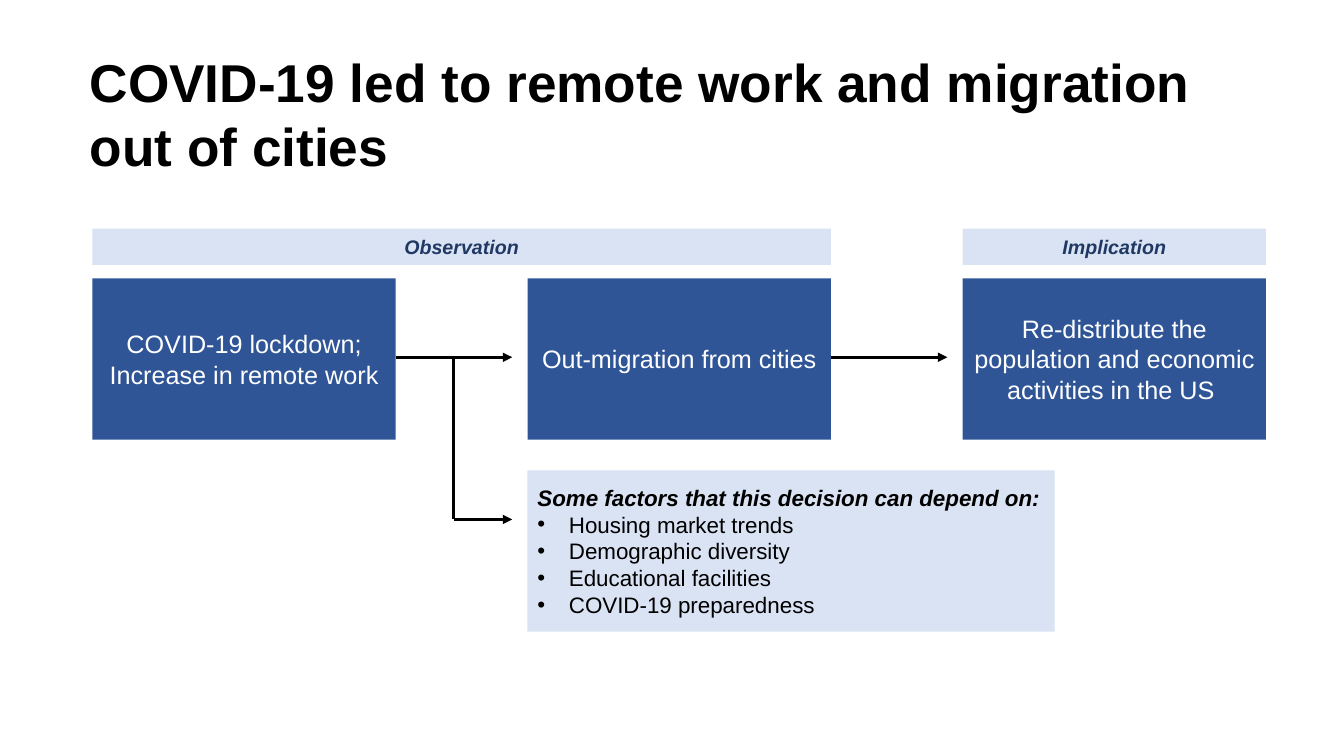
from lxml.etree import SubElement
from pptx import Presentation
from pptx.dml.color import RGBColor
from pptx.enum.shapes import MSO_CONNECTOR, MSO_SHAPE
from pptx.enum.text import MSO_ANCHOR, PP_ALIGN
from pptx.oxml.ns import qn
from pptx.util import Pt

TITLE = "COVID-19 led to remote work and migration out of cities"
STEPS = [
    "COVID-19 lockdown; Increase in remote work",
    "Out-migration from cities",
    "Re-distribute the population and economic activities in the US ",
]
STAGES = [("Observation", 0, 1), ("Implication", 2, 2)]
FACTORS_HEADING = "Some factors that this decision can depend on:"
FACTORS = [
    "Housing market trends",
    "Demographic diversity",
    "Educational facilities",
    "COVID-19 preparedness",
]

FONT = "Arial"
BLACK = RGBColor(0x00, 0x00, 0x00)
WHITE = RGBColor(0xFF, 0xFF, 0xFF)
BLUE = RGBColor(0x2F, 0x55, 0x97)
PALE_BLUE = RGBColor(0xDA, 0xE3, 0xF3)
NAVY = RGBColor(0x20, 0x38, 0x64)

LEFT, PITCH, STEP_WIDTH = 66, 310.8, 216.7
STAGE_TOP, STAGE_HEIGHT = 163.4, 25.8
STEP_TOP, BOX_HEIGHT = 198.8, 115.2
FACTORS_TOP, FACTORS_WIDTH = 336, 376.5
ARROW_LENGTH, ARROW_Y = 83.2, 255.2
BRANCH_X, BRANCH_Y = 324, 371
BULLET_INDENT = 22.5

prs = Presentation()
prs.slide_width, prs.slide_height = Pt(960), Pt(540)
slide = prs.slides.add_slide(prs.slide_layouts[6])


def add_text(paragraph, text, size, color, bold=False, italic=False):
    run = paragraph.add_run()
    run.text = text
    font = run.font
    font.name, font.size = FONT, Pt(size)
    font.bold, font.italic = bold, italic
    font.color.rgb = color


def add_box(left, top, width, height, fill, align=PP_ALIGN.CENTER):
    box = slide.shapes.add_shape(
        MSO_SHAPE.RECTANGLE, Pt(left), Pt(top), Pt(width), Pt(height))
    box.shadow.inherit = False
    box.fill.solid()
    box.fill.fore_color.rgb = fill
    box.line.fill.background()
    frame = box.text_frame
    frame.word_wrap = True
    frame.vertical_anchor = MSO_ANCHOR.MIDDLE
    frame.paragraphs[0].alignment = align
    return frame


def add_line(x1, y1, x2, y2, arrow=True):
    line = slide.shapes.add_connector(
        MSO_CONNECTOR.STRAIGHT, Pt(x1), Pt(y1), Pt(x2), Pt(y2))
    line.line.color.rgb = BLACK
    line.line.width = Pt(2.25)
    properties = line._element.spPr
    if arrow:
        SubElement(properties.find(qn("a:ln")), qn("a:tailEnd"), type="triangle")
    SubElement(properties, qn("a:effectLst"))


def step_left(index):
    return LEFT + index * PITCH


title = slide.shapes.add_textbox(Pt(57), Pt(28.8), Pt(836.6), Pt(104.4)).text_frame
title.word_wrap = True
title.vertical_anchor = MSO_ANCHOR.MIDDLE
add_text(title.paragraphs[0], TITLE, 38, BLACK, bold=True)

for index, step in enumerate(STEPS):
    frame = add_box(step_left(index), STEP_TOP, STEP_WIDTH, BOX_HEIGHT, BLUE)
    add_text(frame.paragraphs[0], step, 18, WHITE)

for index in range(len(STEPS) - 1):
    start = step_left(index) + STEP_WIDTH
    add_line(start, ARROW_Y, start + ARROW_LENGTH, ARROW_Y)

for stage, first, last in STAGES:
    width = step_left(last) + STEP_WIDTH - step_left(first)
    frame = add_box(step_left(first), STAGE_TOP, width, STAGE_HEIGHT, PALE_BLUE)
    add_text(frame.paragraphs[0], stage, 14, NAVY, bold=True, italic=True)

factors = add_box(step_left(1), FACTORS_TOP, FACTORS_WIDTH, BOX_HEIGHT,
                  PALE_BLUE, PP_ALIGN.LEFT)
add_text(factors.paragraphs[0], FACTORS_HEADING, 16, BLACK, bold=True, italic=True)
for factor in FACTORS:
    paragraph = factors.add_paragraph()
    paragraph.alignment = PP_ALIGN.LEFT
    properties = paragraph._p.get_or_add_pPr()
    properties.set("marL", str(Pt(BULLET_INDENT)))
    properties.set("indent", str(-Pt(BULLET_INDENT)))
    SubElement(properties, qn("a:buFont"), typeface=FONT)
    SubElement(properties, qn("a:buChar"), char="•")
    add_text(paragraph, factor, 16, BLACK)

add_line(BRANCH_X, ARROW_Y, BRANCH_X, BRANCH_Y, arrow=False)
add_line(BRANCH_X, BRANCH_Y, LEFT + STEP_WIDTH + ARROW_LENGTH, BRANCH_Y)

prs.save("out.pptx")
